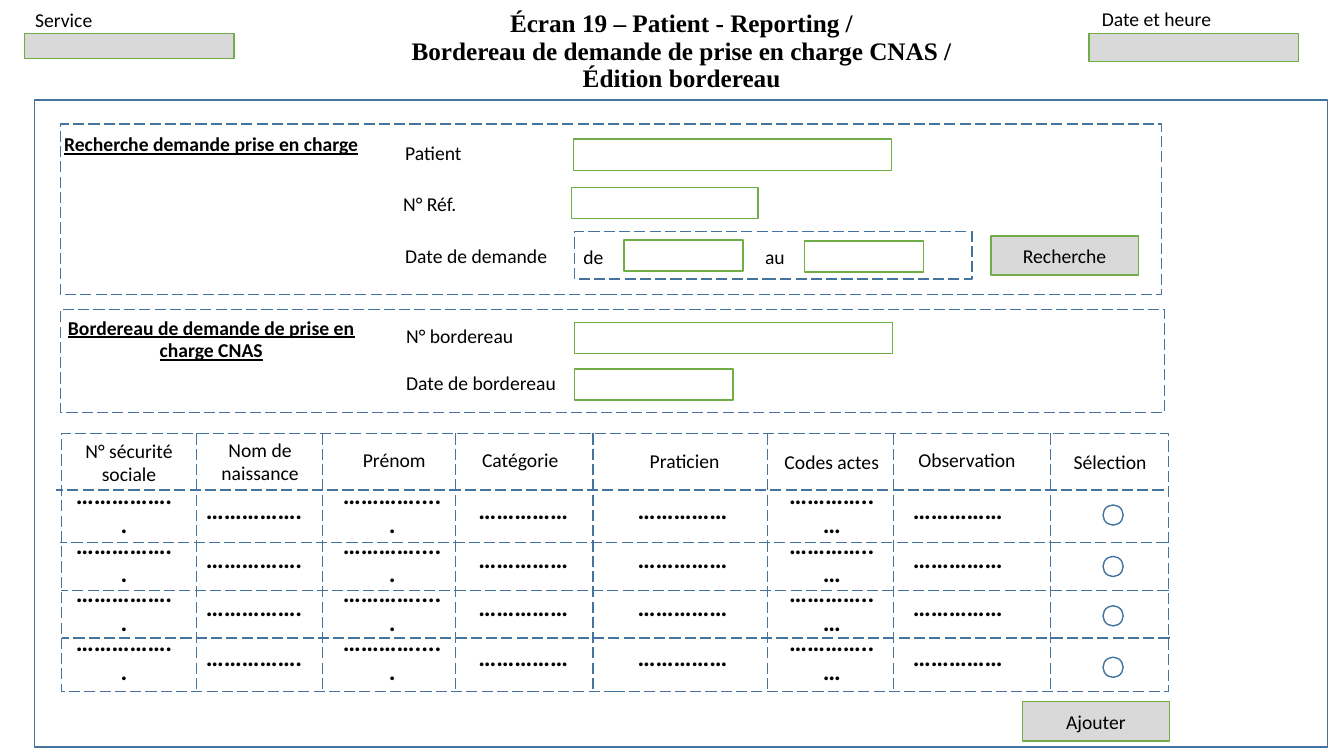
import lxml.etree
import pptx
import pptx.dml.color
import pptx.enum.dml
import pptx.enum.shapes
import pptx.enum.text
import pptx.oxml.ns
import pptx.util

PX = 9144
BLUE, GREEN, GREY, BLACK = "43739E", "70AD47", "D9D9D9", "000000"
ALIGN = pptx.enum.text.PP_ALIGN
ANCHOR = pptx.enum.text.MSO_ANCHOR
SHAPE = pptx.enum.shapes.MSO_SHAPE


def px(*lengths):
    return [pptx.util.Emu(length * PX) for length in lengths]


def rgb(value):
    return pptx.dml.color.RGBColor.from_string(value)


class Screen:
    """Draws the elements of a form screen on one slide."""

    def __init__(self, slide):
        self.slide = slide

    def letter(self, frame, text, size=14, font="Calibri", bold=False, underline=False,
               align=ALIGN.CENTER, anchor=ANCHOR.MIDDLE, spacing=None, wrap=True):
        frame.text = text
        frame.word_wrap = wrap
        frame.auto_size = pptx.enum.text.MSO_AUTO_SIZE.NONE
        frame.vertical_anchor = anchor
        for paragraph in frame.paragraphs:
            paragraph.alignment = align
            paragraph.line_spacing = spacing
            for run in paragraph.runs:
                run.font.name = font
                run.font.size = pptx.util.Pt(size)
                run.font.bold = bold
                run.font.underline = underline
                run.font.color.rgb = rgb(BLACK)

    def stroke(self, line, color, dashed):
        line.color.rgb = rgb(color)
        line.width = pptx.util.Pt(1)
        if dashed:
            line.dash_style = pptx.enum.dml.MSO_LINE.LONG_DASH

    def title(self, text, *box):
        heading = self.slide.shapes.title
        heading.left, heading.top, heading.width, heading.height = px(*box)
        self.letter(heading.text_frame, text, size=18, font="Times New Roman",
                    bold=True, anchor=ANCHOR.BOTTOM, spacing=0.9)

    def text(self, text, *box, **style):
        label = self.slide.shapes.add_textbox(*px(*box))
        self.letter(label.text_frame, text, **{"spacing": 0.95, **style})

    def box(self, *box, color=GREEN, fill=None, dashed=False, kind=SHAPE.RECTANGLE):
        outline = self.slide.shapes.add_shape(kind, *px(*box))
        outline.shadow.inherit = False
        if fill:
            outline.fill.solid()
            outline.fill.fore_color.rgb = rgb(fill)
        else:
            outline.fill.background()
        self.stroke(outline.line, color, dashed)
        return outline

    def button(self, text, left, top):
        self.letter(self.box(left, top, 146, 39, fill=GREY).text_frame, text)

    def rule(self, *ends):
        divider = self.slide.shapes.add_connector(
            pptx.enum.shapes.MSO_CONNECTOR.STRAIGHT, *px(*ends))
        self.stroke(divider.line, BLUE, True)
        lxml.etree.SubElement(divider._element.spPr, pptx.oxml.ns.qn("a:effectLst"))


def draw_header(screen):
    screen.title("Écran 19 – Patient - Reporting /\vBordereau de demande de prise en charge CNAS /\n"
                 "Édition bordereau", 397, 1, 558, 96)
    plain = {"align": ALIGN.LEFT, "anchor": ANCHOR.TOP, "spacing": None}
    screen.text("Service", 25, 3, 140, 34, **plain)
    screen.text("Date et heure", 1083, 2, 130, 34, wrap=False, **plain)
    screen.box(24, 33, 208, 25, fill=GREY)
    screen.box(1080, 33, 208, 28, fill=GREY)
    screen.box(34, 99, 1283, 642, color=BLUE)


def draw_forms(screen):
    for panel in [(60, 123, 1092, 169), (60, 307, 1095, 102), (570, 230, 394, 47)]:
        screen.box(*panel, color=BLUE, dashed=True)

    heading = {"bold": True, "underline": True}
    screen.text("Recherche demande prise en charge", 42, 123, 335, 42, **heading)
    screen.text("Bordereau de demande de prise en charge CNAS", 42, 309, 335, 56, **heading)

    for label, left, top in [("Patient", 392, 133), ("N° Réf.", 390, 184),
                             ("Date de demande", 392, 235), ("N° bordereau", 393, 315),
                             ("Date de bordereau", 393, 361)]:
        screen.text(label, left, top, 177, 39, align=ALIGN.LEFT)
    for label, left in [("de", 559), ("au", 739)]:
        screen.text(label, left, 237, 59, 38)

    for left, top, width in [(569, 138, 315), (567, 186, 185), (619, 238, 118),
                             (798, 239, 118), (570, 320, 315), (570, 366, 157)]:
        screen.box(left, top, width, 31)
    screen.button("Recherche", 983, 234)
    screen.button("Ajouter", 1014, 696)


def draw_grid(screen):
    columns = [("N° sécurité sociale", 69, 436, 47, "……………..", 64),
               ("Nom de naissance", 199, 435, 47, "…………….", 193),
               ("Prénom", 332, 438, 39, "………….....", 330),
               ("Catégorie", 457, 438, 39, "……………", 460),
               ("Praticien", 620, 439, 39, "……………", 618),
               ("Codes actes", 766, 440, 39, "…………..…", 766),
               ("Observation", 900, 438, 39, "……………", 891),
               ("Sélection", 1042, 440, 39, None, None)]
    rows = [(487, 501), (536, 552), (584, 601), (633, 652)]

    screen.box(61, 430, 1098, 256, color=BLUE, dashed=True)
    for x in (195, 320, 452, 588, 761, 886, 1042):
        screen.rule(x, 430, x, 686)
    for left, y in [(56, 486), (60, 538), (61, 586), (62, 633)]:
        screen.rule(left + 1098, y, left, y)

    for name, left, top, height, dots, dots_left in columns:
        screen.text(name, left, top, 118, height)
        if dots:
            for row_top, _ in rows:
                screen.text(dots, dots_left, row_top, 118, 39, size=18, bold=True)
    for _, choice_top in rows:
        screen.box(1094, choice_top, 20, 20, color=BLUE, kind=SHAPE.OVAL)


def main():
    deck = pptx.Presentation()
    deck.slide_width, deck.slide_height = px(1333, 750)
    screen = Screen(deck.slides.add_slide(deck.slide_layouts[5]))
    draw_header(screen)
    draw_forms(screen)
    draw_grid(screen)
    deck.save("out.pptx")


if __name__ == "__main__":
    main()
